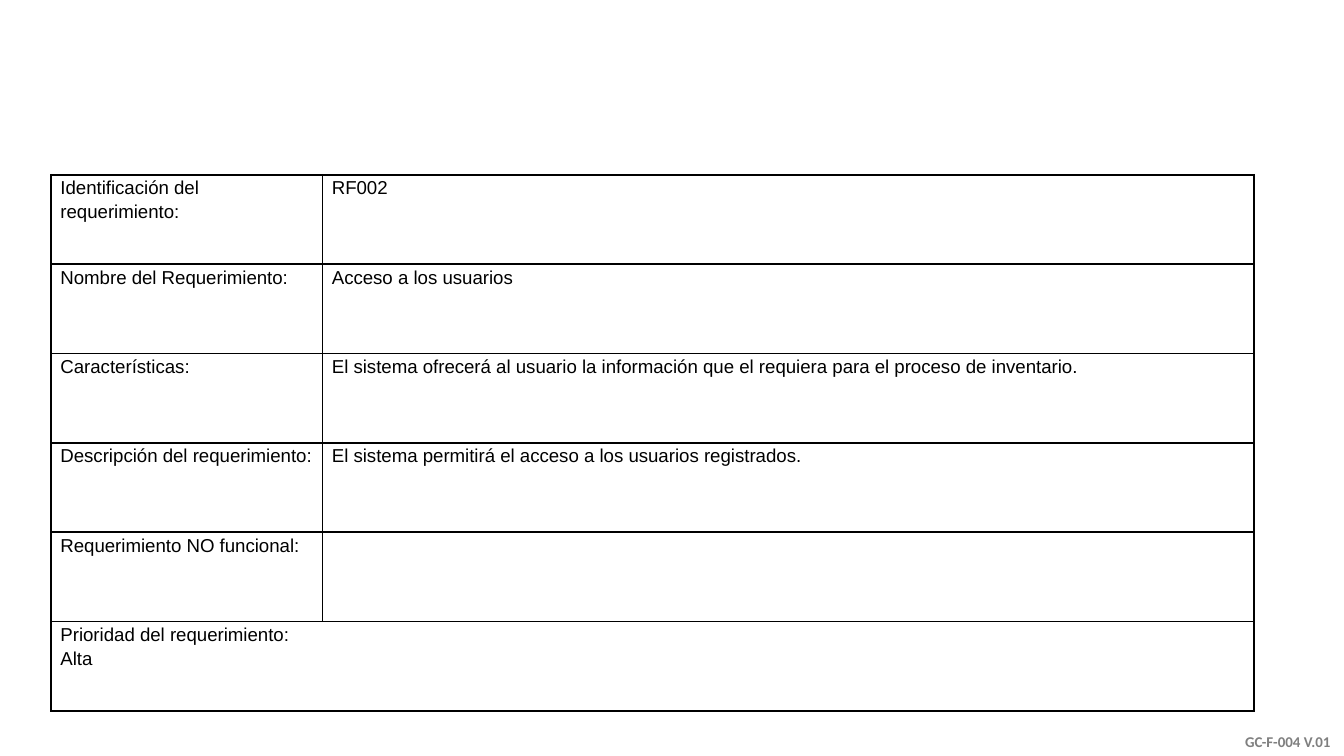
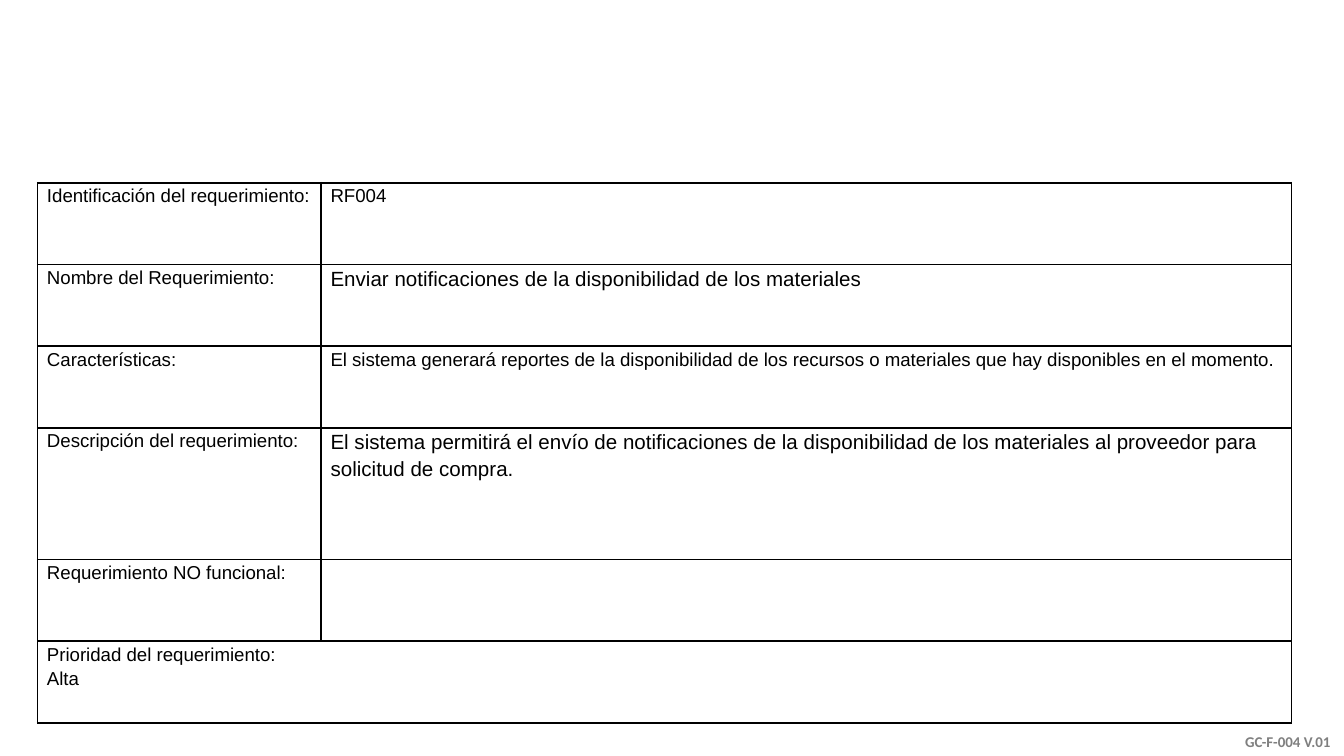
from lxml.etree import SubElement
from pptx import Presentation
from pptx.dml.color import RGBColor
from pptx.enum.text import MSO_ANCHOR, PP_ALIGN
from pptx.oxml.ns import qn
from pptx.util import Inches, Pt

BLACK, GREY = "000000", "7F7F7F"
LABELS = [
    "Identificación del requerimiento:",
    "Nombre del Requerimiento:",
    "Características:",
    "Descripción del requerimiento:",
    "Requerimiento NO funcional:",
]
PRIORITY = "Prioridad del requerimiento:\nAlta"

# Each value is a text and its size in points; "tall" gives rows of their own height.
SHEETS = [
    dict(
        box=(0.38, 1.3, 8.95, 3.99), label_w=2.02, tall={},
        values=[
            ("RF002", 10),
            ("Acceso a los usuarios", 10),
            ("El sistema ofrecerá al usuario la información que el requiera "
             "para el proceso de inventario.", 10),
            ("El sistema permitirá el acceso a los usuarios registrados.", 10),
            ("", 10),
        ],
    ),
    dict(
        box=(0.28, 1.36, 9.33, 4.02), label_w=2.11, tall={3: 0.98},
        values=[
            ("RF004", 10),
            ("Enviar notificaciones de la disponibilidad de los materiales", 11),
            ("El sistema generará reportes de la disponibilidad de los recursos "
             "o materiales que hay disponibles en el momento.", 10),
            ("El sistema permitirá el envío de notificaciones de la disponibilidad "
             "de los materiales al proveedor para solicitud de compra.", 11),
            ("", 10),
        ],
    ),
]


def color(code):
    return RGBColor.from_string(code)


def write(frame, text, size=10, font="Arial", ink=BLACK, bold=False,
          align=PP_ALIGN.LEFT, spacing=None):
    """Fill a text frame, one paragraph per line of text."""
    frame.word_wrap = True
    frame.text = text
    for para in frame.paragraphs:
        para.alignment = align
        para.line_spacing = spacing
        para.font.size = Pt(size)
        for run in para.runs:
            run.font.size = Pt(size)
            run.font.name = font
            run.font.bold = bold
            run.font.color.rgb = color(ink)


def outline(cell):
    props = cell._tc.get_or_add_tcPr()
    for side in "RTB" if cell.is_spanned else "LRTB":
        line = SubElement(props, qn(f"a:ln{side}"), w=str(Pt(1)))
        fill = SubElement(line, qn("a:solidFill"))
        SubElement(fill, qn("a:srgbClr"), val=BLACK)


def style(cell):
    cell.margin_left = cell.margin_right = Inches(0.07)
    cell.margin_top = cell.margin_bottom = 0
    outline(cell)
    cell.fill.background()


def add_form(slide, box, label_w, tall, values):
    """Add the requirement table, with the priority across its last row."""
    last = len(LABELS)
    frame = slide.shapes.add_table(last + 1, 2, *map(Inches, box))
    table = frame.table
    table.first_row = table.horz_banding = False
    for col, width in zip(table.columns, (label_w, box[2] - label_w)):
        col.width = Inches(width)
    even = (box[3] - sum(tall.values())) / (last + 1 - len(tall))
    for index, row in enumerate(table.rows):
        row.height = Inches(tall.get(index, even))

    table.cell(last, 0).merge(table.cell(last, 1))
    for cell in table.iter_cells():
        style(cell)
    for row, (label, (text, size)) in enumerate(zip(LABELS, values)):
        write(table.cell(row, 0).text_frame, label, spacing=1.15)
        write(table.cell(row, 1).text_frame, text, size=size, spacing=1.15)
    write(table.cell(last, 0).text_frame, PRIORITY, spacing=1.15)


def add_footer(slide, box=(8.37, 5.2, 1.63, 0.43)):
    frame = slide.shapes.add_textbox(*map(Inches, box)).text_frame
    frame.vertical_anchor = MSO_ANCHOR.BOTTOM
    write(frame, "GC-F-004 V.01", size=8, font="Calibri", ink=GREY,
          bold=True, align=PP_ALIGN.RIGHT)


def main():
    deck = Presentation()
    deck.slide_width = Inches(10)
    deck.slide_height = deck.slide_width * 9 // 16
    blank = deck.slide_layouts[6]
    for sheet in SHEETS:
        slide = deck.slides.add_slide(blank)
        add_footer(slide)
        add_form(slide, **sheet)
    deck.save("out.pptx")


if __name__ == "__main__":
    main()
